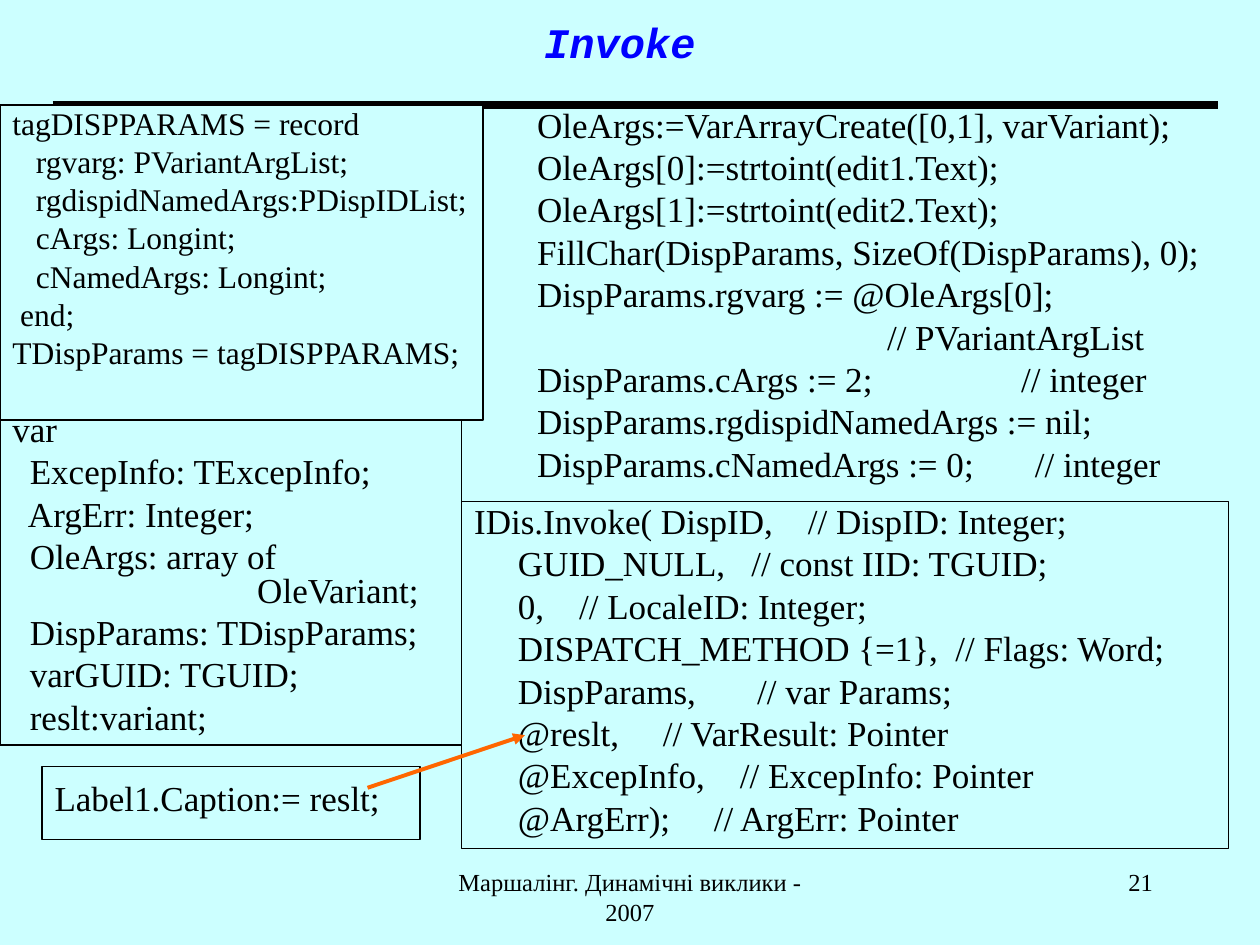
from lxml import etree
from pptx import Presentation
from pptx.dml.color import RGBColor
from pptx.enum.shapes import MSO_CONNECTOR, MSO_SHAPE
from pptx.enum.text import MSO_ANCHOR, PP_ALIGN
from pptx.oxml.ns import qn
from pptx.util import Cm, Pt

STRAIGHT = MSO_CONNECTOR.STRAIGHT
RECTANGLE = MSO_SHAPE.RECTANGLE
LEFT, CENTER, RIGHT = PP_ALIGN.LEFT, PP_ALIGN.CENTER, PP_ALIGN.RIGHT
TOP, MIDDLE = MSO_ANCHOR.TOP, MSO_ANCHOR.MIDDLE

BACKGROUND, BLACK, BLUE, ORANGE = "CCFFFF", "000000", "0000FF", "FF6600"

TITLE = "Invoke"
TITLE_FONT = {"name": "Courier New", "size": Pt(24), "bold": True, "italic": True}

ARGUMENTS = [
    "OleArgs:=VarArrayCreate([0,1], varVariant);",
    "OleArgs[0]:=strtoint(edit1.Text);",
    "OleArgs[1]:=strtoint(edit2.Text);",
    "FillChar(DispParams, SizeOf(DispParams), 0);",
    "DispParams.rgvarg := @OleArgs[0];",
    "                                        // PVariantArgList",
    "DispParams.cArgs := 2;                 // integer",
    "DispParams.rgdispidNamedArgs := nil;",
    "DispParams.cNamedArgs := 0;       // integer",
]
INVOKE_CALL = [
    "IDis.Invoke( DispID,    // DispID: Integer;",
    "     GUID_NULL,   // const IID: TGUID;",
    "     0,    // LocaleID: Integer;",
    "     DISPATCH_METHOD {=1},  // Flags: Word;",
    "     DispParams,       // var Params;",
    "     @reslt,     // VarResult: Pointer",
    "     @ExcepInfo,    // ExcepInfo: Pointer",
    "     @ArgErr);     // ArgErr: Pointer",
]
VARIABLES = [
    "var",
    "  ExcepInfo: TExcepInfo;",
    "  ArgErr: Integer;",
    "  OleArgs: array of \v                            OleVariant;",
    "  DispParams: TDispParams;",
    "  varGUID: TGUID;",
    "  reslt:variant;",
]
RECORD = [
    "tagDISPPARAMS = record",
    "   rgvarg: PVariantArgList;",
    "   rgdispidNamedArgs:PDispIDList;",
    "   cArgs: Longint;",
    "   cNamedArgs: Longint;",
    " end;",
    "TDispParams = tagDISPPARAMS;",
]

# lines, (left, top, width, height) in cm, text size, line spacing, framed
CODE_BLOCKS = [
    (ARGUMENTS, (10.58, 2.12, 14.39, 8.04), 20, 0.8, False),
    (INVOKE_CALL, (9.31, 10.11, 15.45, 6.99), 20, 0.8, True),
    (VARIABLES, (0, 8.25, 9.31, 6.77), 20, 0.8, True),
    (["Label1.Caption:= reslt;"], (0.85, 15.45, 7.62, 1.48), 20, 1.1, True),
    (RECORD, (0, 2.12, 9.74, 6.35), 18, 0.8, True),
]
# text, (left, top, width, height) in cm, alignment
FOOTERS = [
    ("Маршалінг. Динамічні виклики - 2007", (8.68, 17.36, 8.04, 1.27), CENTER),
    ("21", (18.2, 17.36, 5.29, 1.27), RIGHT),
]


def color(hex_value):
    return RGBColor.from_string(hex_value)


def lengths(values):
    return [Cm(value) for value in values]


def set_format(target, values):
    for name, value in values.items():
        setattr(target, name, value)


def write_lines(shape, lines, size, alignment=LEFT, spacing=1.0):
    frame = shape.text_frame
    set_format(frame, {"word_wrap": True, "vertical_anchor": TOP})
    for index, line in enumerate(lines):
        paragraph = frame.add_paragraph() if index else frame.paragraphs[0]
        paragraph.text = line
        set_format(paragraph, {
            "alignment": alignment,
            "line_spacing": spacing,
            "space_before": Pt(size / 4 if index else 0),
        })
        set_format(paragraph.font, {"name": "Times New Roman", "size": Pt(size)})
        paragraph.font.color.rgb = color(BLACK)


def add_code_block(slide, lines, box, size, spacing, framed):
    if framed:
        shape = slide.shapes.add_shape(RECTANGLE, *lengths(box))
        shape.shadow.inherit = False
        shape.fill.solid()
        shape.fill.fore_color.rgb = color(BACKGROUND)
        shape.line.color.rgb = color(BLACK)
        shape.line.width = Pt(0.75)
    else:
        shape = slide.shapes.add_textbox(*lengths(box))
    write_lines(shape, lines, size, spacing=spacing)


def add_line(slide, ends, line_color, width, arrow=False):
    connector = slide.shapes.add_connector(STRAIGHT, *lengths(ends))
    connector.line.color.rgb = color(line_color)
    connector.line.width = Pt(width)
    if arrow:
        outline = connector.line._get_or_add_ln()
        etree.SubElement(outline, qn("a:tailEnd"), type="triangle")
    etree.SubElement(connector._element.spPr, qn("a:effectLst"))


def add_title(slide):
    title = slide.shapes.title
    title.left, title.top, title.width, title.height = lengths((1.7, 0, 21.59, 1.7))
    title.text_frame.text = TITLE
    title.text_frame.vertical_anchor = MIDDLE
    paragraph = title.text_frame.paragraphs[0]
    paragraph.alignment = CENTER
    set_format(paragraph.font, TITLE_FONT)
    paragraph.font.color.rgb = color(BLUE)


def main():
    presentation = Presentation()
    presentation.slide_width, presentation.slide_height = Cm(25.4), Cm(19.05)
    slide = presentation.slides.add_slide(presentation.slide_layouts[5])
    slide.background.fill.solid()
    slide.background.fill.fore_color.rgb = color(BACKGROUND)

    add_title(slide)
    add_line(slide, (1.06, 2.12, 24.55, 2.12), BLACK, 4.5)
    for block in CODE_BLOCKS:
        add_code_block(slide, *block)
    add_line(slide, (7.41, 15.88, 10.58, 14.82), ORANGE, 2.25, arrow=True)
    for text, box, alignment in FOOTERS:
        write_lines(slide.shapes.add_textbox(*lengths(box)), [text], 14, alignment)

    presentation.save("out.pptx")


if __name__ == "__main__":
    main()
